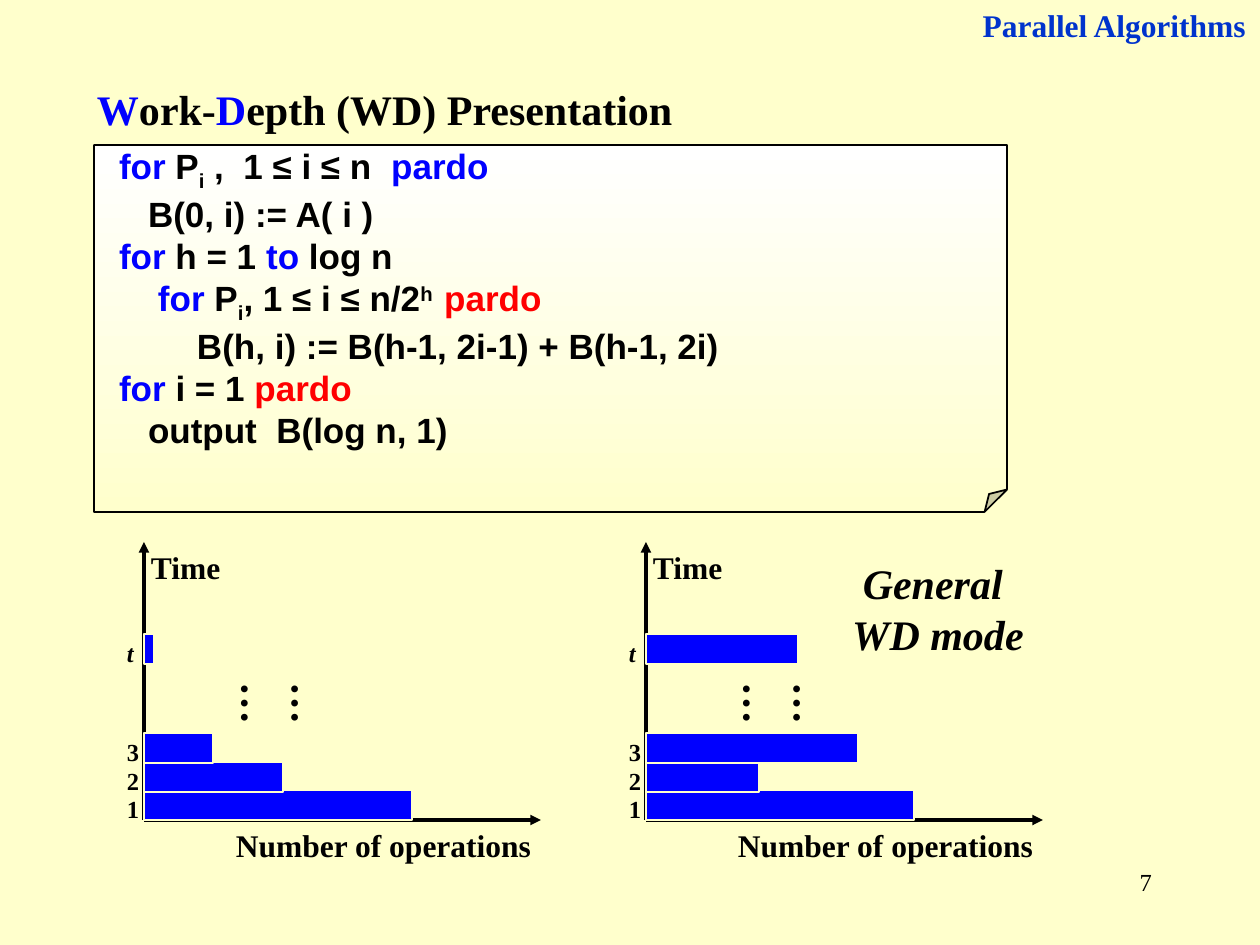
from pptx import Presentation
from pptx.dml.color import RGBColor
from pptx.enum.shapes import MSO_CONNECTOR, MSO_SHAPE
from pptx.enum.text import MSO_ANCHOR, MSO_AUTO_SIZE, PP_ALIGN
from pptx.oxml.ns import qn
from pptx.util import Emu, Pt
from lxml import etree

LEFT, CENTER, RIGHT = PP_ALIGN.LEFT, PP_ALIGN.CENTER, PP_ALIGN.RIGHT
TOP, NO_FIT = MSO_ANCHOR.TOP, MSO_AUTO_SIZE.NONE
RECT, FOLDED = MSO_SHAPE.RECTANGLE, MSO_SHAPE.FOLDED_CORNER
STRAIGHT = MSO_CONNECTOR.STRAIGHT

THEME = {
    "serif": "Times New Roman", "sans": "Arial",
    "paper": "FFFFCC", "white": "FFFFFF", "text": "000000",
    "header": "0033CC", "key": "0000FF", "alert": "FF0000",
    "title": 24, "code": 20, "label": 18, "small": 14,
}

TITLE = [("W", "key"), ("ork-", "text"), ("D", "key"), ("epth (WD) Presentation", "text")]
CODE = [
    (0, [("for", "key"), (" P", "text"), ("i", "text", -25),
         (" ,  1 ≤ i ≤ n  ", "text"), ("pardo", "key")]),
    (29, [("B(0, i) := A( i )", "text")]),
    (0, [("for", "key"), (" h = 1 ", "text"), ("to", "key"), (" log n", "text")]),
    (39, [("for ", "key"), ("P", "text"), ("i", "text", -25), (", 1 ≤ i ≤ n/2", "text"),
          ("h  ", "text", 30), ("pardo", "alert")]),
    (78, [("B(h, i) := B(h-1, 2i-1) + B(h-1, 2i)", "text")]),
    (0, [("for ", "key"), ("i = 1 ", "text"), ("pardo", "alert")]),
    (29, [("output  B(log n, 1)", "text")]),
]
STEPS = [("1", 790), ("2", 762), ("3", 733), ("t", 634)]
CHARTS = [(144, [268, 139, 69, 10]), (646, [268, 113, 212, 152])]
BASE_Y, AXIS_TOP, AXIS_LENGTH, BAR_H = 820, 542, 397, 30


def px(n):
    return Emu(round(n * 914400 / 126))


def rgb(name):
    return RGBColor.from_string(THEME[name])


def style(r, size, color="text", font="serif", bold=True, italic=False, base=0):
    r.font.name = THEME[font]
    r.font.size = Pt(THEME[size])
    r.font.color.rgb = rgb(color)
    r.font.bold = bold
    r.font.italic = italic
    if base:
        r.font._element.set("baseline", str(base * 1000))


def add_runs(p, parts, size, font):
    for text, color, *base in parts:
        r = p.add_run()
        r.text = text
        style(r, size, color, font, base=base[0] if base else 0)


def set_frame(tf, insets=(13, 6, 13, 6)):
    tf.word_wrap = True
    tf.auto_size = NO_FIT
    tf.vertical_anchor = TOP
    tf.margin_left, tf.margin_top, tf.margin_right, tf.margin_bottom = map(px, insets)


def add_text(slide, text, box, size, align=LEFT, insets=(13, 6, 13, 6), **look):
    tf = slide.shapes.add_textbox(*map(px, box)).text_frame
    set_frame(tf, insets)
    tf.text = text
    for p in tf.paragraphs:
        p.alignment = align
        for r in p.runs:
            style(r, size, **look)
    return tf


def add_title(slide):
    sp = slide.shapes.title
    sp.left, sp.top, sp.width, sp.height = map(px, (84, 77, 655, 63))
    set_frame(sp.text_frame)
    p = sp.text_frame.paragraphs[0]
    p.alignment = LEFT
    add_runs(p, TITLE, "title", "serif")


def add_code(slide):
    sp = slide.shapes.add_shape(FOLDED, *map(px, (94, 145, 913, 367)))
    guides = sp._element.spPr.find(qn("a:prstGeom")).get_or_add_avLst()
    etree.SubElement(guides, qn("a:gd"), name="adj", fmla="val 6100")
    sp.shadow.inherit = False
    sp.fill.gradient()
    sp.fill.gradient_angle = 270
    for stop, color in zip(sp.fill.gradient_stops, ("white", "paper")):
        stop.color.rgb = rgb(color)
    sp.line.color.rgb = rgb("text")
    sp.line.width = Pt(1)
    tf = sp.text_frame
    set_frame(tf, (25, 0, 5, 0))
    for i, (indent, parts) in enumerate(CODE):
        p = tf.add_paragraph() if i else tf.paragraphs[0]
        p.alignment = LEFT
        p._p.get_or_add_pPr().set("marL", str(px(indent)))
        add_runs(p, parts, "code", "sans")


def add_axis(slide, x1, y1, x2, y2):
    line = slide.shapes.add_connector(STRAIGHT, *map(px, (x1, y1, x2, y2)))
    line.line.color.rgb = rgb("text")
    line.line.width = Pt(2)
    etree.SubElement(line.line._get_or_add_ln(), qn("a:tailEnd"), type="triangle")
    etree.SubElement(line._element.spPr, qn("a:effectLst"))


def add_bar(slide, x, y, width):
    sp = slide.shapes.add_shape(RECT, *map(px, (x, y, width, BAR_H)))
    sp.shadow.inherit = False
    sp.fill.solid()
    sp.fill.fore_color.rgb = rgb("key")
    sp.line.color.rgb = rgb("paper")
    sp.line.width = Pt(0.75)


def add_steps_chart(slide, x, widths):
    add_axis(slide, x, BASE_Y, x, AXIS_TOP)
    add_axis(slide, x, BASE_Y, x + AXIS_LENGTH, BASE_Y)
    add_text(slide, "Number of operations", (x + 79, BASE_Y, 325, 50), "label")
    add_text(slide, "Time", (x - 6, AXIS_TOP, 100, 50), "label")
    for (label, y), width in zip(STEPS, widths):
        add_bar(slide, x, y, width)
        add_text(slide, label, (x - 30, y - 2, 39, 43), "small", italic=label == "t")
    dots = add_text(slide, "……", (x + 70, 670, 126, 59), "title", insets=(6, 13, 6, 13))
    dots._txBody.bodyPr.set("vert", "eaVert")


def main():
    prs = Presentation()
    prs.slide_width, prs.slide_height = px(1260), px(945)
    slide = prs.slides.add_slide(prs.slide_layouts[5])
    slide.background.fill.solid()
    slide.background.fill.fore_color.rgb = rgb("paper")
    add_text(slide, "7", (903, 861, 262, 63), "small", RIGHT, bold=False)
    add_text(slide, "Parallel Algorithms", (927, 0, 332, 50), "label", RIGHT, color="header")
    add_title(slide)
    add_code(slide)
    for x, widths in CHARTS:
        add_steps_chart(slide, x, widths)
    add_text(slide, "General \nWD mode", (809, 552, 258, 113), "title", CENTER, italic=True)
    prs.save("out.pptx")


if __name__ == "__main__":
    main()
